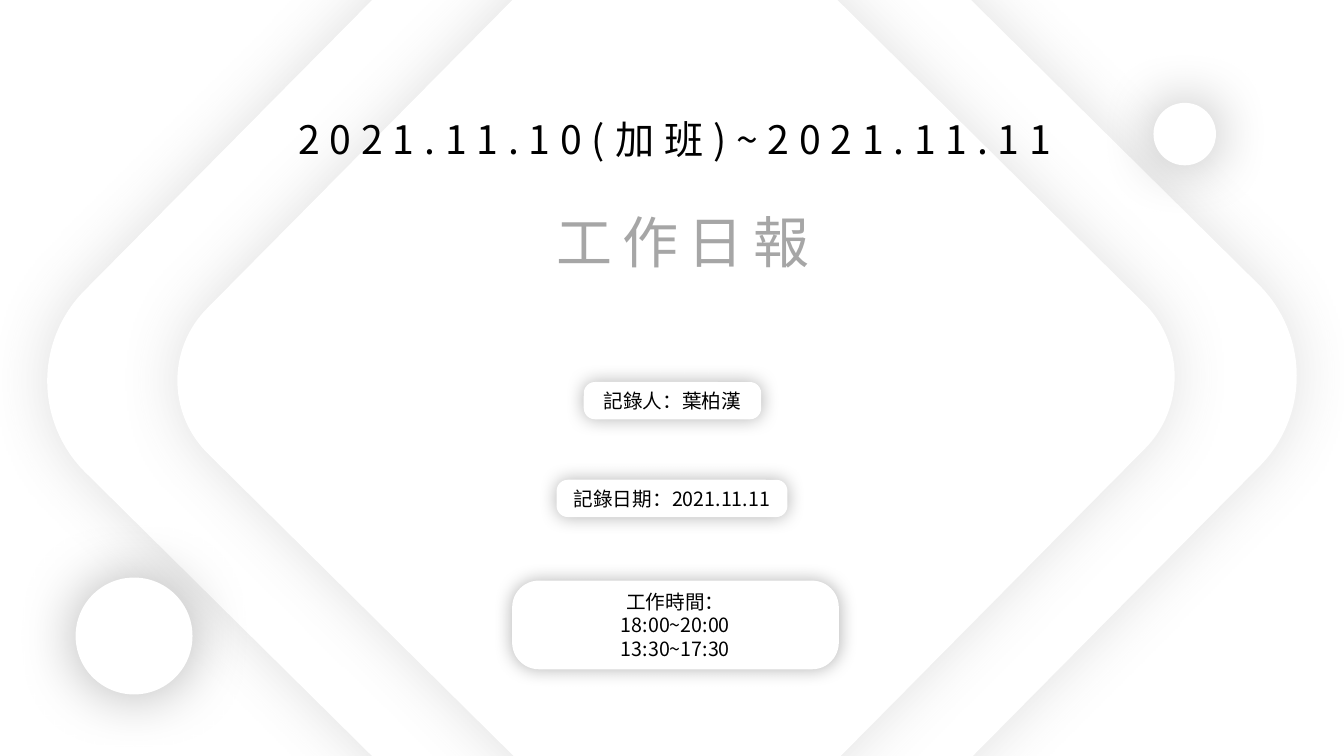
from pptx import Presentation
from pptx.dml.color import RGBColor as Rgb
from pptx.enum.shapes import MSO_SHAPE as Kind
from pptx.enum.text import MSO_ANCHOR as Anchor, MSO_AUTO_SIZE as Fit, PP_ALIGN as Align
from pptx.oxml import parse_xml
from pptx.oxml.ns import nsdecls, qn
from pptx.util import Inches, Pt


class Deck:
    hues = {"white": "FFFFFF", "black": "000000", "gray": "A6A6A6", "dim": "595959"}
    face = "Noto Sans CJK SC"

    def __init__(self):
        self.file = Presentation()
        self.file.slide_width = Inches(13.33)
        self.file.slide_height = Inches(7.5)
        self.slide = self.file.slides.add_slide(self.file.slide_layouts[5])
        self.shapes = self.slide.shapes

    def shade(self, shape, hue, alpha, blur):
        shape.shadow.inherit = False
        glow = parse_xml(
            f'<a:outerShdw {nsdecls("a")} blurRad="{Pt(blur)}" dist="0" dir="0" '
            f'algn="ctr" rotWithShape="0"><a:srgbClr val="{self.hues[hue]}">'
            f'<a:alpha val="{alpha * 1000}"/></a:srgbClr></a:outerShdw>')
        shape.element.spPr.find(qn("a:effectLst")).append(glow)

    def plate(self, kind, box, hue="black", alpha=30, blur=43, bend=None, turn=0):
        shape = self.shapes.add_shape(kind, *map(Inches, box))
        shape.rotation = turn
        if bend is not None:
            shape.adjustments[0] = bend
        shape.fill.solid()
        shape.fill.fore_color.rgb = Rgb.from_string(self.hues["white"])
        shape.line.fill.background()
        self.shade(shape, hue, alpha, blur)
        return shape

    def letter(self, shape, lines, size, hue="black", gap=0, pitch=None):
        frame = shape.text_frame
        frame.text = "\n".join(lines)
        frame.word_wrap = True
        frame.auto_size = Fit.NONE
        frame.vertical_anchor = Anchor.MIDDLE
        frame.margin_top = frame.margin_bottom = 0
        for para in frame.paragraphs:
            para.alignment = Align.CENTER
            if pitch:
                para.line_spacing = Pt(pitch)
            font = para.font
            font.name = self.face
            font.size = Pt(size)
            font.color.rgb = Rgb.from_string(self.hues[hue])
            props = para._p.pPr.find(qn("a:defRPr"))
            props.set("spc", str(gap * 100))
            props.find(qn("a:latin")).addnext(
                parse_xml(f'<a:ea {nsdecls("a")} typeface="{self.face}"/>'))

    def title(self, box, text, size, hue, gap):
        head = self.shapes.title
        head.left, head.top, head.width, head.height = map(Inches, box)
        self.shapes.element.append(head.element)
        self.letter(head, [text], size, hue, gap)

    def label(self, box, text, size, gap):
        self.letter(self.shapes.add_textbox(*map(Inches, box)), [text], size, gap=gap)

    def tag(self, box, *lines):
        shape = self.plate(Kind.ROUNDED_RECTANGLE, box, blur=13, bend=0.302)
        self.letter(shape, lines, 14, pitch=17)


def main():
    deck = Deck()
    for left, top, side in ((1.91, -1, 9.51), (2.91, -0.04, 7.59)):
        deck.plate(Kind.ROUNDED_RECTANGLE, (left, top, side, side),
                   "dim", 19, bend=0.134, turn=44.7)
    deck.label((2.66, 1.09, 8.07, 0.57), "2021.11.10(加班)~2021.11.11", 28, 7)
    deck.title((4.4, 2.01, 4.75, 0.77), "工作日報", 40, "gray", 7)
    for left, top, side in ((0.75, 5.73, 1.16), (11.44, 1.02, 0.62)):
        deck.plate(Kind.OVAL, (left, top, side, side))
    deck.tag((5.79, 3.79, 1.76, 0.37), "記錄人：葉柏漢")
    deck.tag((5.52, 4.76, 2.29, 0.37), "記錄日期：2021.11.11")
    deck.tag((5.08, 5.76, 3.24, 0.88), "工作時間：", "18:00~20:00", "13:30~17:30")
    deck.file.save("out.pptx")


if __name__ == "__main__":
    main()
